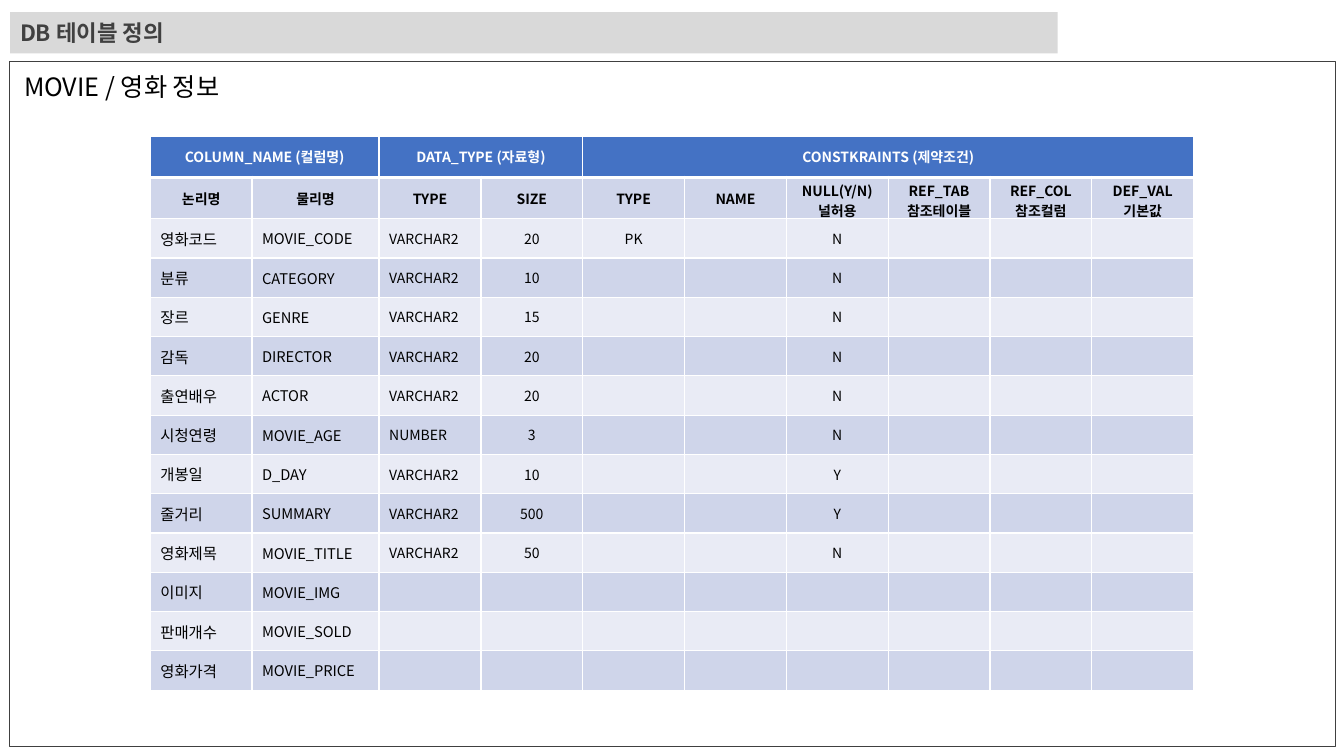
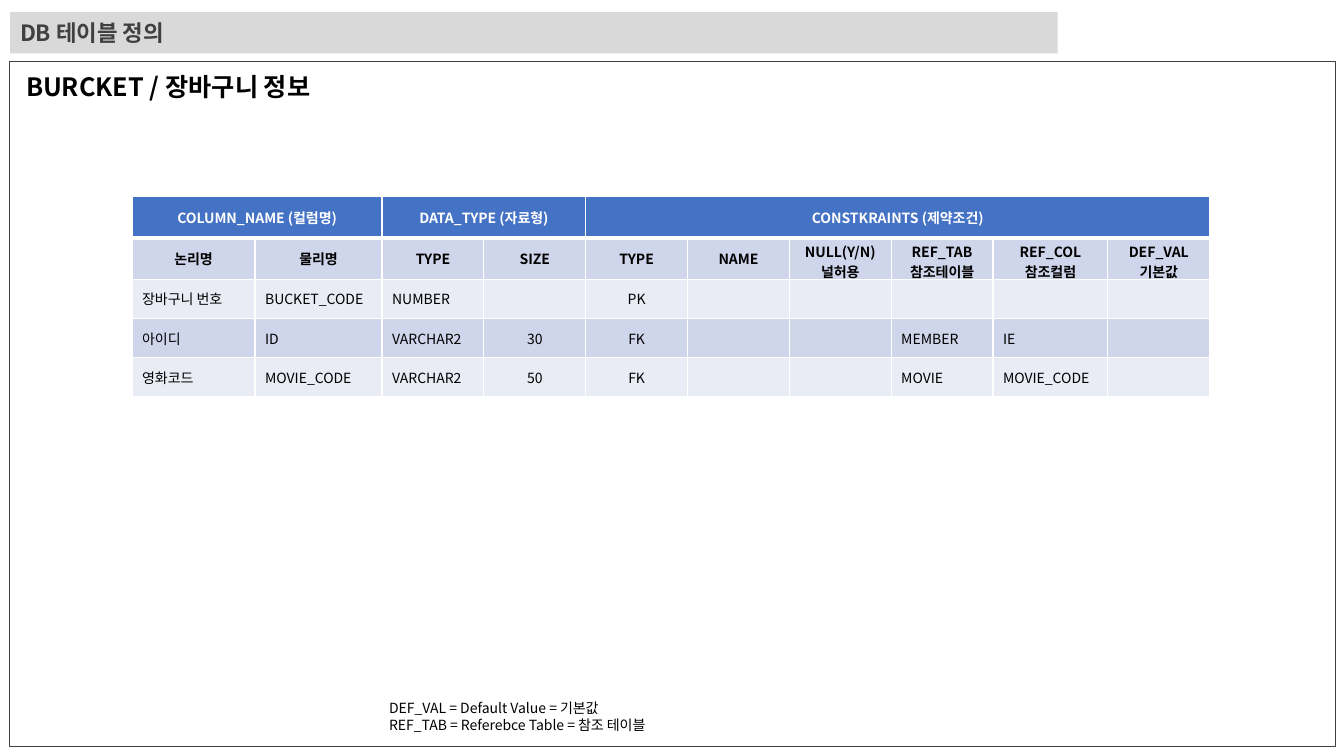
from dataclasses import dataclass

from lxml.etree import SubElement
from pptx import Presentation
from pptx.dml.color import RGBColor
from pptx.enum.shapes import MSO_SHAPE as SHAPE
from pptx.enum.text import MSO_ANCHOR as ANCHOR, MSO_AUTO_SIZE as AUTO, PP_ALIGN as ALIGN
from pptx.oxml.ns import qn
from pptx.util import Inches, Pt

FONT = "Noto Sans CJK KR"
COLORS = {
    "black": "000000",
    "white": "FFFFFF",
    "dark": "404040",
    "bar": "D9D9D9",
    "head": "4472C4",
    "band": "CFD5EA",
    "light": "E9EBF5",
}

# Header texts shared by every table
GROUPS = [("COLUMN_NAME (컬럼명)", 0, 1), ("DATA_TYPE (자료형)", 2, 3),
          ("CONSTKRAINTS (제약조건)", 4, 9)]
HEADINGS = ["논리명", "물리명", "TYPE", "SIZE", "TYPE", "NAME", "NULL(Y/N)\n널허용",
            "REF_TAB\n참조테이블", "REF_COL\n참조컬럼", "DEF_VAL\n기본값"]
CENTERED = range(3, 7)
HEAD_H, ROW_H = 0.41, 0.39


@dataclass
class Label:
    text: str
    left: float
    top: float
    width: float
    height: float
    size: float
    bold: bool = False


@dataclass
class TableDef:
    title: Label
    left: float
    top: float
    widths: list[float]
    rows: list[list[str]]
    sizes: tuple[float, float]  # first and second column
    notes: tuple[Label, ...] = ()


def rgb(name: str) -> RGBColor:
    return RGBColor.from_string(COLORS[name])


def write(tf, text: str, *, size: float = 10, color: str = "black",
          bold: bool = False, align: ALIGN = ALIGN.LEFT) -> None:
    """Write one paragraph per line of text."""
    for i, line in enumerate(text.split("\n")):
        p = tf.paragraphs[0] if i == 0 else tf.add_paragraph()
        p.alignment = align
        if not line:  # keeps an empty cell from growing its row
            SubElement(p._p, qn("a:endParaRPr"), sz=str(int(size * 100)))
            continue
        r = p.add_run()
        r.text = line
        r.font.size, r.font.bold, r.font.name = Pt(size), bold, FONT
        r.font.color.rgb = rgb(color)
        SubElement(r._r.get_or_add_rPr(), qn("a:ea"), typeface=FONT)


def add_label(s, label: Label) -> None:
    box = s.shapes.add_textbox(Inches(label.left), Inches(label.top),
                               Inches(label.width), Inches(label.height))
    tf = box.text_frame
    tf.word_wrap = False
    tf.auto_size = AUTO.SHAPE_TO_FIT_TEXT
    write(tf, label.text, size=label.size, bold=label.bold)


def add_frame(s) -> None:
    """Title bar and outlined content area."""
    bar = s.shapes.add_shape(SHAPE.RECTANGLE, Inches(0.1), Inches(0.12),
                             Inches(10.39), Inches(0.41))
    bar.fill.solid()
    bar.fill.fore_color.rgb = rgb("bar")
    bar.line.fill.background()
    bar.text_frame.vertical_anchor = ANCHOR.MIDDLE
    write(bar.text_frame, "DB 테이블 정의", size=16, color="dark", bold=True)

    area = s.shapes.add_shape(SHAPE.RECTANGLE, Inches(0.09), Inches(0.61),
                              Inches(13.15), Inches(6.79))
    area.fill.background()
    area.line.color.rgb = rgb("dark")
    area.line.width = Pt(0.5)
    for sp in (bar, area):
        sp.shadow.inherit = False


def style_cell(cell, fill: str, margins: tuple[float, float],
               top: float = 1, bottom: float = 1) -> None:
    x, y = (Inches(m) for m in margins)
    cell.margin_left = cell.margin_right = x
    cell.margin_top = cell.margin_bottom = y
    cell.vertical_anchor = ANCHOR.MIDDLE
    tc_pr = cell._tc.get_or_add_tcPr()
    for side, width in (("L", 1), ("R", 1), ("T", top), ("B", bottom)):
        ln = SubElement(tc_pr, qn(f"a:ln{side}"), w=str(Pt(width)))
        SubElement(SubElement(ln, qn("a:solidFill")), qn("a:srgbClr"), val=COLORS["white"])
    cell.fill.solid()
    cell.fill.fore_color.rgb = rgb(fill)


def add_definition(s, d: TableDef) -> None:
    heights = [HEAD_H] * 2 + [ROW_H] * len(d.rows)
    frame = s.shapes.add_table(len(heights), len(d.widths), Inches(d.left), Inches(d.top),
                               Inches(sum(d.widths)), Inches(sum(heights)))
    table = frame.table
    for col, width in zip(table.columns, d.widths):
        col.width = Inches(width)
    for row, height in zip(table.rows, heights):
        row.height = Inches(height)

    # Two header rows
    head_margins = (0.06, 0.03)
    for c, heading in enumerate(HEADINGS):
        style_cell(table.cell(0, c), "head", head_margins, bottom=3)
        style_cell(table.cell(1, c), "band", head_margins, top=3)
        write(table.cell(1, c).text_frame, heading, bold=True, align=ALIGN.CENTER)
    for text, first, last in GROUPS:
        cell = table.cell(0, first)
        cell.merge(table.cell(0, last))
        write(cell.text_frame, text, color="white", bold=True, align=ALIGN.CENTER)

    # Body rows, padded with empty cells
    for i, values in enumerate(d.rows):
        padded = values + [""] * (len(d.widths) - len(values))
        for c, text in enumerate(padded):
            cell = table.cell(i + 2, c)
            style_cell(cell, "band" if i % 2 else "light", (0.1, 0.06))
            write(cell.text_frame, text, size=d.sizes[c] if c < 2 else 10,
                  align=ALIGN.CENTER if c in CENTERED else ALIGN.LEFT)


MOVIE = TableDef(
    title=Label("MOVIE / 영화 정보", 0.14, 0.66, 2.45, 0.4, 18),
    left=1.49, top=1.35, widths=[1.01, 1.26] + [1.01] * 8, sizes=(11, 10.5),
    rows=[
        ["영화코드", "MOVIE_CODE", "VARCHAR2", "20", "PK", "", "N"],
        ["분류", "CATEGORY", "VARCHAR2", "10", "", "", "N"],
        ["장르", "GENRE", "VARCHAR2", "15", "", "", "N"],
        ["감독", "DIRECTOR", "VARCHAR2", "20", "", "", "N"],
        ["출연배우", "ACTOR", "VARCHAR2", "20", "", "", "N"],
        ["시청연령", "MOVIE_AGE", "NUMBER", "3", "", "", "N"],
        ["개봉일", "D_DAY", "VARCHAR2", "10", "", "", "Y"],
        ["줄거리", "SUMMARY", "VARCHAR2", "500", "", "", "Y"],
        ["영화제목", "MOVIE_TITLE", "VARCHAR2", "50", "", "", "N"],
        ["이미지", "MOVIE_IMG"],
        ["판매개수", "MOVIE_SOLD"],
        ["영화가격", "MOVIE_PRICE"],
    ],
)
BUCKET = TableDef(
    title=Label("BURCKET / 장바구니 정보", 0.16, 0.66, 3.3, 0.4, 18, bold=True),
    left=1.31, top=1.95, widths=[1.22, 1.26] + [1.01] * 6 + [1.14, 1.01], sizes=(10, 10),
    rows=[
        ["장바구니 번호", "BUCKET_CODE", "NUMBER", "", "PK"],
        ["아이디", "ID", "VARCHAR2", "30", "FK", "", "", "MEMBER", "IE"],
        ["영화코드", "MOVIE_CODE", "VARCHAR2", "50", "FK", "", "", "MOVIE", "MOVIE_CODE"],
    ],
    notes=(Label("DEF_VAL = Default Value = 기본값\nREF_TAB = Referebce Table = 참조 테이블",
                 3.76, 6.89, 2.91, 0.44, 10),),
)


def main() -> None:
    prs = Presentation()
    prs.slide_width, prs.slide_height = Inches(13.33), Inches(7.5)
    for d in (MOVIE, BUCKET):
        s = prs.slides.add_slide(prs.slide_layouts[6])
        for label in (*d.notes, d.title):
            add_label(s, label)
        add_frame(s)
        add_definition(s, d)
    prs.save("out.pptx")


if __name__ == "__main__":
    main()
